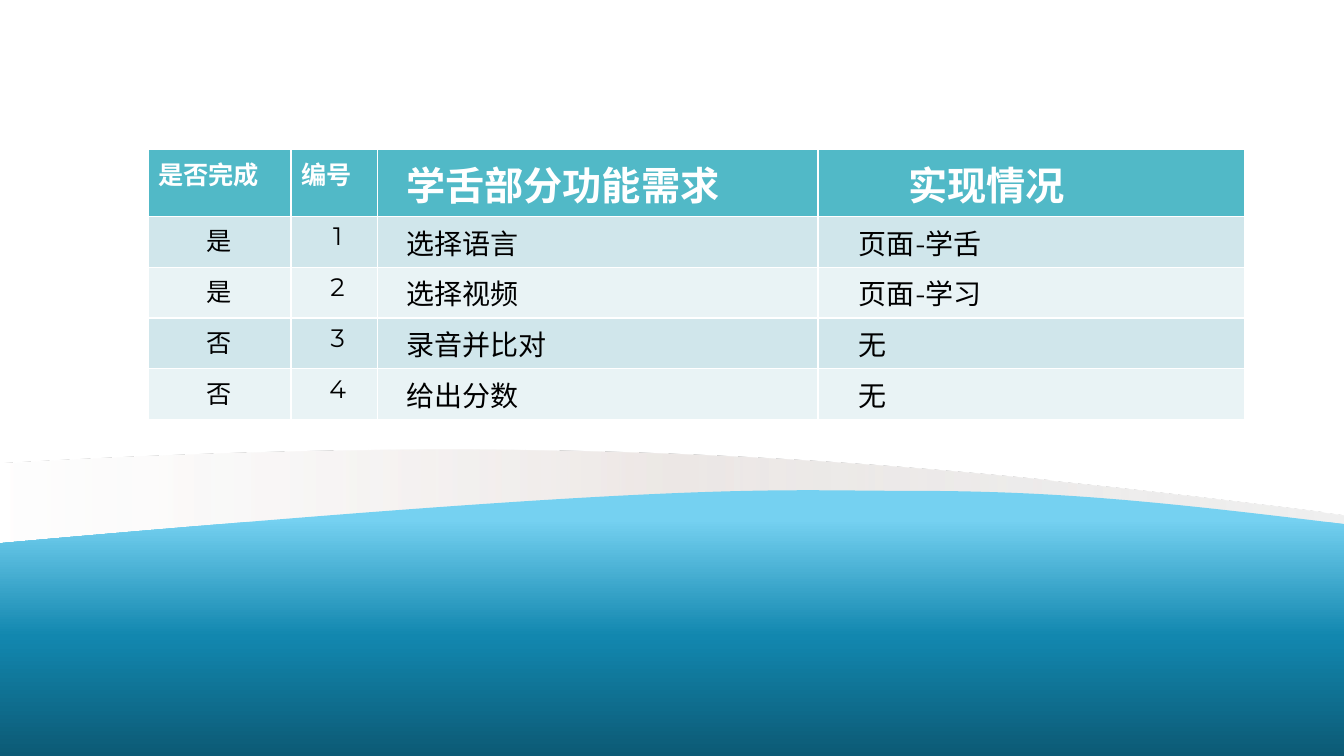
from pptx import Presentation
from pptx.dml.color import RGBColor
from pptx.enum.text import PP_ALIGN
from pptx.oxml import parse_xml
from pptx.oxml.ns import nsdecls, qn
from pptx.util import Pt


def color(hex_string):
    return RGBColor.from_string(hex_string)


def path_command(tag, points, top):
    """Return a drawing command whose points are measured from the shape's top."""
    points_xml = "".join(f'<a:pt x="{Pt(x)}" y="{Pt(y - top)}"/>' for x, y in points)
    return parse_xml(f'<a:{tag} {nsdecls("a")}>{points_xml}</a:{tag}>')


presentation = Presentation()
presentation.slide_width = Pt(960)
presentation.slide_height = Pt(540)
slide = presentation.slides.add_slide(presentation.slide_layouts[6])

# Waves: top, bottom, drawing commands, gradient stops (position, colour, opacity), angle
waves = [
    (321.12, 388.08,
     [("moveTo", [(0, 330.84)]),
      ("cubicBezTo", [(426.24, 306.36), (671.76, 330.84), (960, 367.56)]),
      ("lnTo", [(960, 382.32)]),
      ("cubicBezTo", [(627.84, 316.08), (347.76, 370.8), (0, 388.08)])],
     [(0, "D9D9D9", 40), (50, "E5DEDB", 70), (100, "FFFFFF", 50)], 180),
    (349.92, 540,
     [("moveTo", [(0, 388.08)]),
      ("cubicBezTo", [(498.24, 343.44), (549.36, 350.64), (647.28, 350.64)]),
      ("cubicBezTo", [(745.92, 350.64), (814.32, 356.4), (960, 374.4)]),
      ("lnTo", [(960, 540)]),
      ("lnTo", [(0, 540)])],
     [(11, "75D1F1", 100), (55, "1287AF", 100), (100, "0C5A75", 100)], 90),
]
for top, bottom, commands, stops, angle in waves:
    builder = slide.shapes.build_freeform(Pt(0), Pt(top))
    builder.add_line_segments([(Pt(960), Pt(top)), (Pt(960), Pt(bottom)), (Pt(0), Pt(bottom))])
    wave = builder.convert_to_shape()
    wave.shadow.inherit = False
    wave.line.fill.background()

    geometry = wave.element.spPr.find(qn("a:custGeom"))
    outline = geometry.find(qn("a:pathLst"))[0]
    for segment in list(outline):
        outline.remove(segment)
    for tag, points in commands:
        outline.append(path_command(tag, points, top))
    outline.append(path_command("close", [], top))

    stops_xml = "".join(
        f'<a:gs pos="{position * 1000}"><a:srgbClr val="{tint}">'
        f'<a:alpha val="{opacity * 1000}"/></a:srgbClr></a:gs>'
        for position, tint, opacity in stops)
    geometry.addnext(parse_xml(
        f'<a:gradFill {nsdecls("a")} rotWithShape="1"><a:gsLst>{stops_xml}</a:gsLst>'
        f'<a:lin ang="{angle * 60000}" scaled="0"/></a:gradFill>'))

# Requirements table; its default style draws the white borders
rows = [
    ("是否完成", "编号", "学舌部分功能需求", "实现情况"),
    ("是", "1", "选择语言", "页面-学舌"),
    ("是", "2", "选择视频", "页面-学习"),
    ("否", "3", "录音并比对", "无"),
    ("否", "4", "给出分数", "无"),
]
column_widths = (102, 61.7, 314.8, 304.4)
row_heights = (43.2, 33.84, 35.28, 35.28, 35.28)
header_sizes, body_sizes = (18, 18, 28, 28), (18, 18, 20, 20)
header_margins, body_margins = (7.2, 7.2, 20.7, 64.5), (7.2, 12.2, 20.7, 29.2)
band_fills = ("E9F3F5", "D0E6EB")

table = slide.shapes.add_table(len(rows), len(column_widths), Pt(105.84), Pt(107),
                               Pt(sum(column_widths)), Pt(sum(row_heights))).table
for column, width in zip(table.columns, column_widths):
    column.width = Pt(width)

for row_index, texts in enumerate(rows):
    is_header = row_index == 0
    sizes = header_sizes if is_header else body_sizes
    margins = header_margins if is_header else body_margins
    table.rows[row_index].height = Pt(row_heights[row_index])
    for column_index, text in enumerate(texts):
        cell = table.cell(row_index, column_index)
        cell.margin_left = Pt(margins[column_index])
        cell.fill.solid()
        cell.fill.fore_color.rgb = color("51B9C7" if is_header else band_fills[row_index % 2])
        paragraph = cell.text_frame.paragraphs[0]
        if not is_header and column_index < 2:
            paragraph.alignment = PP_ALIGN.CENTER
        run = paragraph.add_run()
        run.text = text
        run.font.name = "Montserrat"
        run.font.size = Pt(sizes[column_index])
        run.font.bold = is_header
        run.font.color.rgb = color("FFFFFF" if is_header else "000000")

presentation.save("out.pptx")
